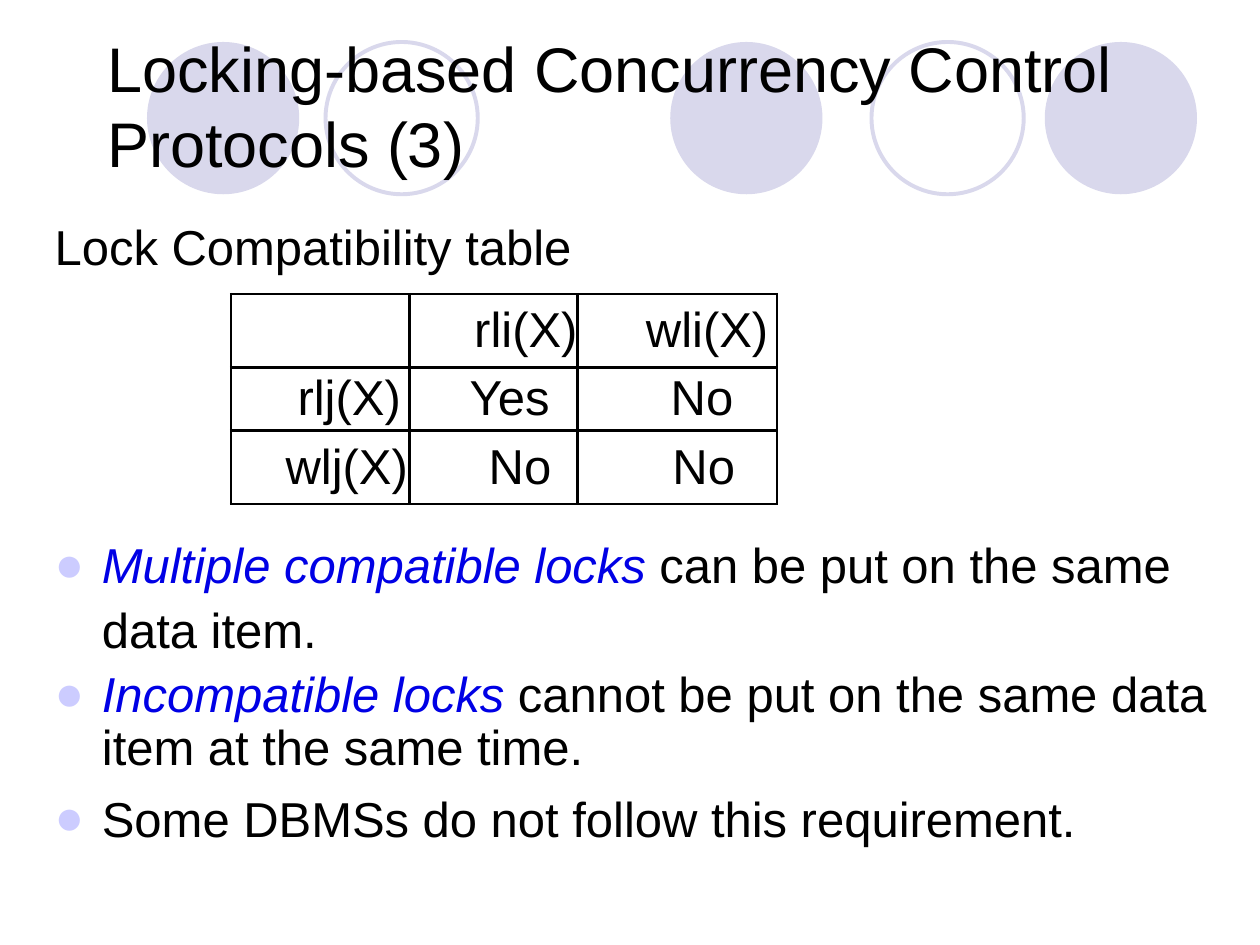
from dataclasses import dataclass
from lxml.etree import SubElement as Sub
from pptx import Presentation
from pptx.dml.color import RGBColor as RGB
from pptx.enum.shapes import MSO_SHAPE as Shape
from pptx.enum.text import MSO_ANCHOR as Anchor, MSO_AUTO_SIZE as Fit, PP_ALIGN as Align
from pptx.oxml.ns import qn
from pptx.util import Pt


@dataclass(frozen=True)
class Theme:
    face: str = "Arial"
    ink: str = "000000"
    key: str = "0000E5"
    dot: str = "CCCCFF"
    ring: str = "D9D8EC"
    head: int = 36
    text: int = 28


class Deck:
    def __init__(self, theme):
        self.theme = theme
        self.file = Presentation()
        self.file.slide_width, self.file.slide_height = Pt(720), Pt(540)
        self.slide = self.file.slides.add_slide(self.file.slide_layouts[1])

    def font(self, font, size, color=None):
        font.name, font.size = self.theme.face, Pt(size)
        font.color.rgb = RGB.from_string(color or self.theme.ink)

    def place(self, holder, box, anchor):
        holder.left, holder.top, holder.width, holder.height = map(Pt, box)
        frame = holder.text_frame
        frame.auto_size, frame.vertical_anchor = Fit.NONE, anchor
        return frame

    def circle(self, left, solid):
        size = Pt(87)
        oval = self.slide.shapes.add_shape(Shape.OVAL, Pt(left), Pt(24), size, size)
        oval.shadow.inherit = False
        color = RGB.from_string(self.theme.ring)
        if solid:
            oval.fill.solid()
            oval.fill.fore_color.rgb = color
            oval.line.fill.background()
        else:
            oval.fill.background()
            oval.line.color.rgb, oval.line.width = color, Pt(2.25)
        oval.element.getparent().insert(2, oval.element)

    def title(self, text, box):
        frame = self.place(self.slide.shapes.title, box, Anchor.MIDDLE)
        frame.text = text
        para = frame.paragraphs[0]
        para.alignment = Align.LEFT
        self.font(para.font, self.theme.head)

    def bullet(self, para, on):
        props = para._p.get_or_add_pPr()
        props.set("marL", str(Pt(27)))
        props.set("indent", str(Pt(-27) if on else Pt(-27)))
        if not on:
            Sub(props, qn("a:buNone"))
            return
        tint = Sub(props, qn("a:buClr"))
        Sub(tint, qn("a:srgbClr"), val=self.theme.dot)
        Sub(props, qn("a:buFont"), typeface=self.theme.face)
        Sub(props, qn("a:buChar"), char="●")

    def body(self, items, box):
        frame = self.place(self.slide.placeholders[1], box, Anchor.TOP)
        for i, (key, text, gap, pitch, dot) in enumerate(items):
            para = frame.add_paragraph() if i else frame.paragraphs[0]
            para.space_before, para.line_spacing = Pt(gap), pitch
            self.bullet(para, dot)
            self.font(para.font, self.theme.text)
            if key:
                run = para.add_run()
                run.text, run.font.italic = key, True
                run.font.color.rgb = RGB.from_string(self.theme.key)
            para.add_run().text = text

    def border(self, cell):
        props = cell._tc.get_or_add_tcPr()
        for side in ("lnL", "lnR", "lnT", "lnB"):
            line = Sub(props, qn(f"a:{side}"), w=str(Pt(1.5)))
            fill = Sub(line, qn("a:solidFill"))
            Sub(fill, qn("a:srgbClr"), val=self.theme.ink)

    def table(self, rows, pads, left, top, wide, high):
        grid = self.slide.shapes.add_table(
            len(rows), len(wide), Pt(left), Pt(top), Pt(sum(wide)), Pt(sum(high))).table
        for col, size in zip(grid.columns, wide):
            col.width = Pt(size)
        for row, size in zip(grid.rows, high):
            row.height = Pt(size)
        for r, row in enumerate(rows):
            for c, text in enumerate(row):
                cell = grid.cell(r, c)
                self.border(cell)
                cell.fill.background()
                cell.margin_left = cell.margin_top = cell.margin_bottom = 0
                cell.margin_right = Pt(pads[r][c])
                cell.vertical_anchor = Anchor.MIDDLE
                cell.text = text
                para = cell.text_frame.paragraphs[0]
                para.alignment = Align.RIGHT
                self.font(para.font, self.theme.text)


def main():
    deck = Deck(Theme())
    for left, solid in ((84, True), (186, False), (383, True), (498, False), (597, True)):
        deck.circle(left, solid)
    deck.title("Locking-based Concurrency Control Protocols (3)", (54, 18, 612, 84))
    deck.body([
        ("", "Lock Compatibility table", 7, 1.0, False),
        ("Multiple compatible locks ", "can be put on the same data item.", 145, 1.1, True),
        ("Incompatible locks ", "cannot be put on the same data item at the same time.",
         7, 0.9, True),
        ("", "Some DBMSs do not follow this requirement.", 7, 1.0, True),
    ], (24, 120, 678, 408))
    deck.table(
        [("", "rli(X)", "wli(X)"), ("rlj(X)", "Yes", "No"), ("wlj(X)", "No", "No")],
        [(0, 0, 5), (5, 16, 25), (1, 15, 24)],
        132, 168, (102, 96, 114), (42, 36, 42))
    deck.file.save("out.pptx")


if __name__ == "__main__":
    main()
